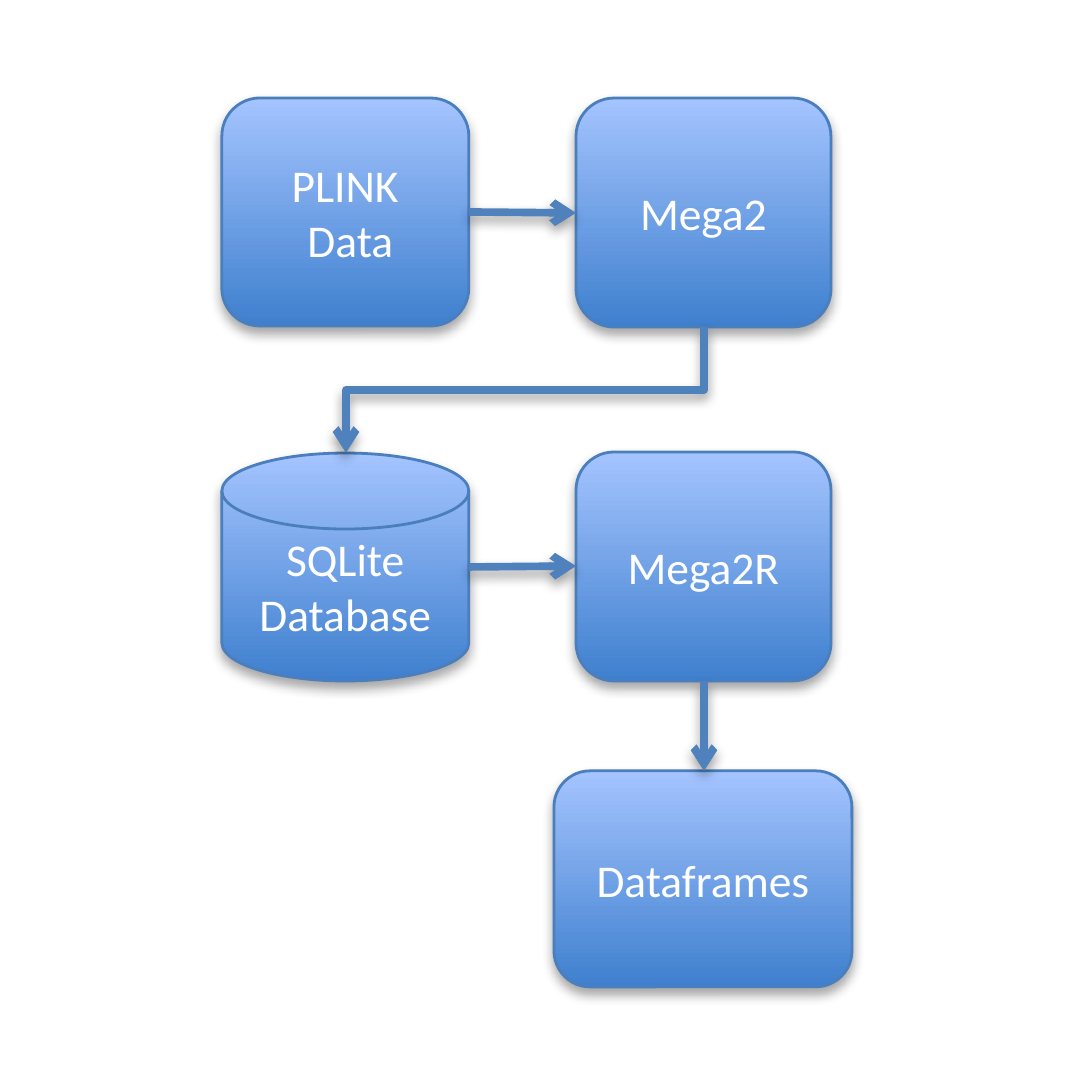
import pptx
import pptx.util
import pptx.dml.color
import pptx.enum.shapes
import pptx.enum.text
import pptx.oxml
import pptx.oxml.ns

PX = 914400 / 273
RGB = pptx.dml.color.RGBColor.from_string
Pt = pptx.util.Pt
SHAPE = pptx.enum.shapes.MSO_SHAPE
LINK = pptx.enum.shapes.MSO_CONNECTOR

THEME = {
    "font": "Calibri", "size": 12, "text": "FFFFFF",
    "bottom": "3F80CE", "top": "A4C4FF", "outline": "4B7EBC",
    "arrow": "4F81BD", "shadow": "000000",
}


def px(*lengths):
    return [round(length * PX) for length in lengths]


def add_shadow(shape, distance, opacity):
    effects = pptx.oxml.parse_xml(
        f'<a:effectLst {pptx.oxml.ns.nsdecls("a")}>'
        f'<a:outerShdw blurRad="{Pt(3.1)}" dist="{Pt(distance)}" dir="5400000" rotWithShape="0">'
        f'<a:srgbClr val="{THEME["shadow"]}"><a:alpha val="{opacity * 1000}"/></a:srgbClr>'
        '</a:outerShdw></a:effectLst>')
    shape._element.spPr.append(effects)


deck = pptx.Presentation()
deck.slide_width, deck.slide_height = px(1092, 1092)
page = deck.slides.add_slide(deck.slide_layouts[6])

# Steps of the data flow: kind, left, top, width, height, lines
steps = [
    (SHAPE.ROUNDED_RECTANGLE, 222, 98, 247, 228, ["PLINK", " Data"]),
    (SHAPE.ROUNDED_RECTANGLE, 576, 98, 255, 229, ["Mega2"]),
    (SHAPE.ROUNDED_RECTANGLE, 576, 452, 255, 229, ["Mega2R"]),
    (SHAPE.ROUNDED_RECTANGLE, 554, 771, 298, 216, ["Dataframes"]),
    (SHAPE.FLOWCHART_MAGNETIC_DISK, 222, 453, 247, 228, ["SQLite Database"]),
]
for kind, left, top, width, height, lines in steps:
    box = page.shapes.add_shape(kind, *px(left, top, width, height))
    box.fill.gradient()
    box.fill.gradient_angle = 90
    for stop, colour in zip(box.fill.gradient_stops, ("bottom", "top")):
        stop.color.rgb = RGB(THEME[colour])
    box.line.color.rgb = RGB(THEME["outline"])
    box.line.width = Pt(0.75)
    add_shadow(box, 1.8, 35)

    frame = box.text_frame
    frame.word_wrap = True
    frame.vertical_anchor = pptx.enum.text.MSO_ANCHOR.MIDDLE
    frame.margin_left, frame.margin_right = px(16, 16)
    frame.margin_top, frame.margin_bottom = px(8, 8)
    frame.text = "\n".join(lines)
    for para in frame.paragraphs:
        para.alignment = pptx.enum.text.PP_ALIGN.CENTER
        para.font.name = THEME["font"]
        para.font.size = Pt(THEME["size"])
        para.font.color.rgb = RGB(THEME["text"])

# Arrows between steps: kind, start, end, rotation
# The elbow is laid out flat, then turned to run from Mega2 down to the database
arrows = [
    (LINK.STRAIGHT, 469, 212, 576, 213, 0),
    (LINK.ELBOW, 462, 211, 588, 569, 90),
    (LINK.STRAIGHT, 469, 567, 576, 566, 0),
    (LINK.STRAIGHT, 704, 681, 704, 771, 0),
]
for kind, x1, y1, x2, y2, turn in arrows:
    arrow = page.shapes.add_connector(kind, *px(x1, y1, x2, y2))
    arrow.rotation = turn
    arrow.line.color.rgb = RGB(THEME["arrow"])
    arrow.line.width = Pt(2)
    arrow.line._get_or_add_ln().append(pptx.oxml.parse_xml(
        f'<a:tailEnd {pptx.oxml.ns.nsdecls("a")} type="arrow"/>'))
    add_shadow(arrow, 1.6, 38)

deck.save("out.pptx")
